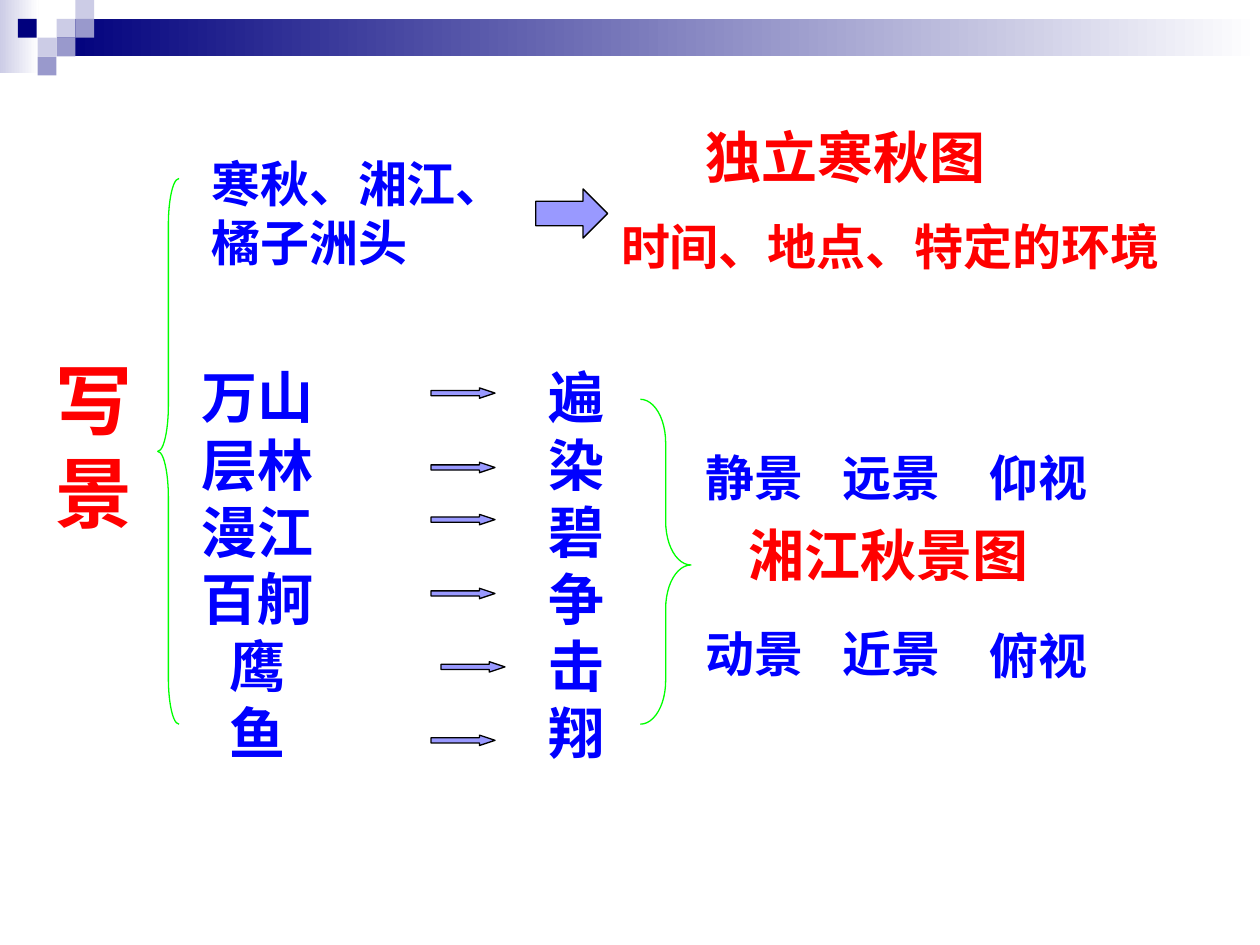
from pptx import Presentation
from pptx.dml.color import RGBColor
from pptx.enum.shapes import MSO_SHAPE as Shape
from pptx.enum.text import PP_ALIGN as Align
from pptx.util import Cm, Pt

NAVY, LILAC, SLATE, WHITE = "00007D", "CCCCE6", "9999CC", "FFFFFF"
RED, BLUE, GREEN, BLACK, VIOLET = "FF0000", "0000FF", "00FF00", "000000", "9999FF"
SERIF, SANS = "Times New Roman", "Arial"
TILE = 0.38


def color(code):
    return RGBColor.from_string(code)


def add_preset(page, kind, place, fill=None, line=None, adjust=()):
    shape = page.shapes.add_shape(kind, *map(Cm, place))
    shape.shadow.inherit = False
    for index, value in enumerate(adjust):
        shape.adjustments[index] = value
    if fill:
        shape.fill.solid()
        shape.fill.fore_color.rgb = color(fill)
    else:
        shape.fill.background()
    if line:
        shape.line.color.rgb = color(line)
        shape.line.width = Pt(0.75)
    else:
        shape.line.fill.background()
    return shape


def add_fade(page, place, start):
    fill = add_preset(page, Shape.RECTANGLE, place).fill
    fill.gradient()
    fill.gradient_angle = 0
    for stop, code in zip(fill.gradient_stops, (start, WHITE)):
        stop.color.rgb = color(code)


def add_arrow(page, place, head):
    add_preset(page, Shape.RIGHT_ARROW, place, VIOLET, BLACK, (0.5, head))


def add_text(page, place, lines, size, code, font=SERIF, gap=0, align=Align.LEFT):
    box = page.shapes.add_textbox(*map(Cm, place))
    frame = box.text_frame
    frame.word_wrap = True
    for index, line in enumerate(lines):
        para = frame.add_paragraph() if index else frame.paragraphs[0]
        para.alignment = align
        if index and gap:
            para.space_before = Pt(gap)
        span = para.add_run()
        span.text = line
        span.font.name = font
        span.font.size = Pt(size)
        span.font.bold = True
        span.font.color.rgb = color(code)


def add_header(page):
    add_fade(page, (0, 0, 0.78, 1.47), LILAC)
    add_fade(page, (1.14, TILE, 24.26, 0.76), NAVY)
    # Mosaic tiles by column and row
    tiles = [(3, 1, LILAC), (4, 0, LILAC), (4, 1, SLATE), (2, 2, LILAC),
             (0.95, 1, NAVY), (3, 2, SLATE), (2, 3, SLATE)]
    for column, row, code in tiles:
        add_preset(page, Shape.RECTANGLE,
                   (column * TILE, row * TILE, TILE, TILE), code)


def main():
    deck = Presentation()
    deck.slide_width, deck.slide_height = Cm(25.4), Cm(19.05)
    page = deck.slides.add_slide(deck.slide_layouts[6])
    add_header(page)

    # Theme and its brace
    add_text(page, (0.86, 6.99, 2.1, 3.99), ["写", "景"], 44, RED)
    add_preset(page, Shape.LEFT_BRACE, (3.18, 3.6, 0.43, 11),
               line=GREEN, adjust=(2.15, 0.5))

    # First scene
    add_text(page, (4.01, 2.97, 7.01, 2.64), ["寒秋、湘江、橘子洲头"], 28, BLUE)
    add_arrow(page, (10.8, 3.81, 1.45, 0.99), 0.5)
    add_text(page, (13.97, 2.34, 8.71, 1.63), ["独立寒秋图"], 32, RED, SANS)
    add_text(page, (12.27, 4.24, 12.47, 2.64), ["时间、地点、特定的环境"], 28, RED)

    # Second scene: subjects, arrows and verbs
    add_text(page, (3.78, 7.19, 2.82, 8.38),
             ["万山", "层林", "漫江", "百舸", "鹰", "鱼"], 32, BLUE,
             align=Align.CENTER)
    add_text(page, (10.8, 7.19, 1.47, 8.38), ["遍染碧争击翔"], 32, BLUE)
    arrows = [(8.69, 7.82), (8.69, 9.32), (8.69, 10.37),
              (8.69, 11.86), (8.89, 13.34), (8.69, 14.82)]
    for left, top in arrows:
        add_arrow(page, (left, top, 1.29, 0.21), 1.5)

    # Second scene: brace, title and viewpoints
    add_preset(page, Shape.RIGHT_BRACE, (12.91, 8.05, 1.02, 6.55),
               line=GREEN, adjust=(0.86, 0.51))
    add_text(page, (14.83, 10.36, 6.4, 1.63), ["湘江秋景图"], 32, RED)
    viewpoints = [(13.97, 67, ["静景", "动景"]),
                  (16.74, 67, ["远景", "近景"]),
                  (19.69, 68.5, ["仰视", "俯视"])]
    for left, gap, words in viewpoints:
        add_text(page, (left, 8.89, 2.7, 5), words, 28, BLUE, gap=gap)

    deck.save("out.pptx")


if __name__ == "__main__":
    main()
